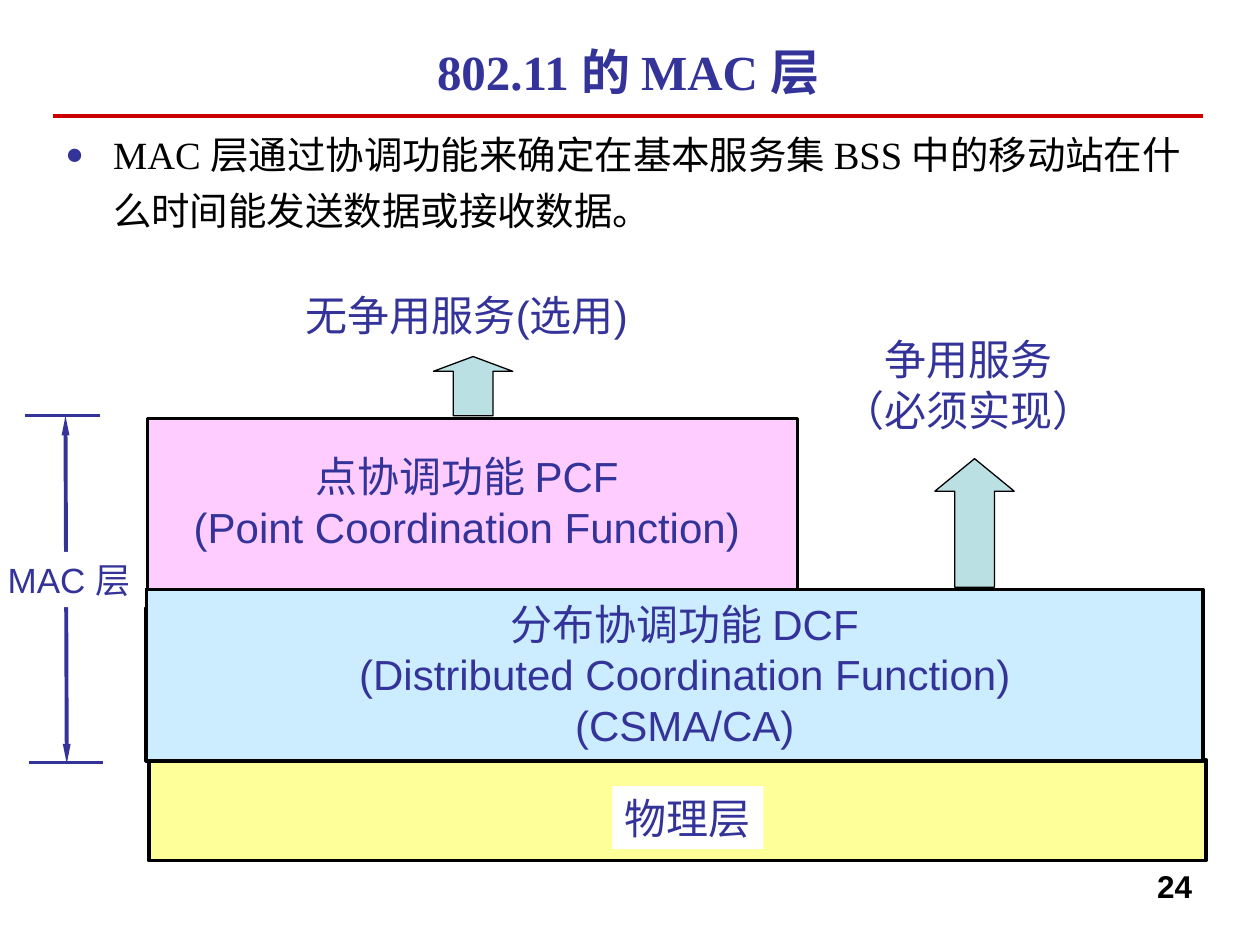
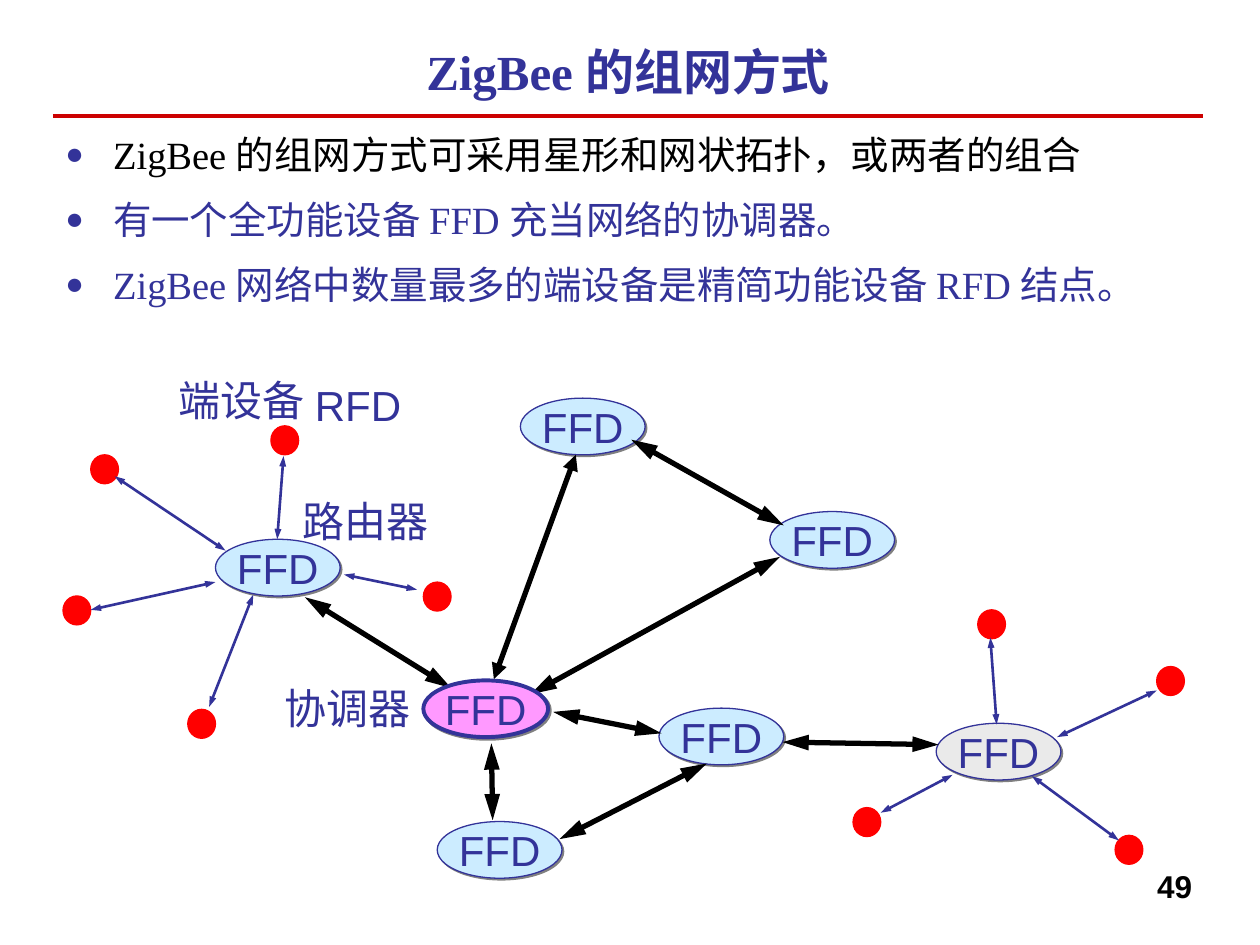
from dataclasses import dataclass

from lxml.etree import SubElement
from pptx import Presentation
from pptx.dml.color import RGBColor
from pptx.enum.shapes import MSO_CONNECTOR, MSO_SHAPE
from pptx.enum.text import MSO_ANCHOR, MSO_AUTO_SIZE, PP_ALIGN
from pptx.oxml.ns import qn
from pptx.util import Inches, Pt

INDIGO = RGBColor(0x33, 0x33, 0x99)
BLACK = RGBColor(0, 0, 0)
WHITE = RGBColor(0xFF, 0xFF, 0xFF)
RULE_RED = RGBColor(0xCC, 0, 0)
DEVICE_RED = RGBColor(0xFF, 0, 0)
SKY = RGBColor(0xCC, 0xEC, 0xFF)
YELLOW = RGBColor(0xFF, 0xFF, 0x99)
PINK = RGBColor(0xFF, 0xCC, 0xFF)
MAGENTA = RGBColor(0xFF, 0x99, 0xFF)
GREY = RGBColor(0xEA, 0xEA, 0xEA)
TEAL = RGBColor(0xBB, 0xE0, 0xE3)
SANS, SERIF = "Arial", "Times New Roman"
LEFT, CENTER, RIGHT = PP_ALIGN.LEFT, PP_ALIGN.CENTER, PP_ALIGN.RIGHT
NODE_SIZE = (0.99, 0.45)
DEVICE_SIZE = (0.22, 0.23)


@dataclass(frozen=True)
class Box:
    """A rectangle on the slide, in inches."""
    left: float
    top: float
    width: float
    height: float

    def lengths(self) -> list:
        """Return the four lengths for python-pptx."""
        return [Inches(value) for value in (self.left, self.top, self.width, self.height)]


@dataclass(frozen=True)
class Style:
    """The look of a text."""
    size: float = 24
    font: str = SANS
    color: RGBColor = INDIGO
    bold: bool = False
    align: PP_ALIGN = LEFT


@dataclass(frozen=True)
class Label:
    """A free caption of one or more lines."""
    box: Box
    lines: tuple
    style: Style = Style()
    wrap: bool = False
    fill: RGBColor | None = None
    side_inset: float = 0.1


@dataclass(frozen=True)
class Block:
    """A filled, outlined preset shape."""
    box: Box
    fill: RGBColor
    line: RGBColor = BLACK
    weight: float = 2
    preset: MSO_SHAPE = MSO_SHAPE.RECTANGLE
    adjustments: tuple = ()


@dataclass(frozen=True)
class Link:
    """A straight line, with arrowheads if head sizes are given."""
    start: tuple
    end: tuple
    color: RGBColor = INDIGO
    weight: float = 1.5
    head_width: str = ""
    head_length: str = "med"


@dataclass(frozen=True)
class Node:
    """A full-function device in the network."""
    left: float
    top: float
    fill: RGBColor = SKY
    weight: float = 0.75


CENTERED = Style(align=CENTER)
TITLE = Style(28, SERIF, bold=True, align=CENTER)
PAGE_NUMBER = Style(18, color=BLACK, bold=True, align=RIGHT)


def style_paragraph(paragraph, style: Style) -> None:
    """Apply a style to a whole paragraph."""
    paragraph.alignment = style.align
    font = paragraph.font
    font.size, font.name, font.bold = Pt(style.size), style.font, style.bold
    font.color.rgb = style.color


def draw_label(slide, label: Label):
    """Draw a caption and return its text frame."""
    caption = slide.shapes.add_textbox(*label.box.lengths())
    if label.fill is not None:
        caption.fill.solid()
        caption.fill.fore_color.rgb = label.fill
    frame = caption.text_frame
    frame.word_wrap = label.wrap
    frame.auto_size = MSO_AUTO_SIZE.NONE if label.wrap else MSO_AUTO_SIZE.SHAPE_TO_FIT_TEXT
    frame.margin_left = frame.margin_right = Inches(label.side_inset)
    frame.text = "\n".join(label.lines)
    for paragraph in frame.paragraphs:
        style_paragraph(paragraph, label.style)
    return frame


def draw_block(slide, block: Block):
    """Draw a preset shape and return it."""
    shape = slide.shapes.add_shape(block.preset, *block.box.lengths())
    shape.shadow.inherit = False
    shape.fill.solid()
    shape.fill.fore_color.rgb = block.fill
    shape.line.color.rgb = block.line
    shape.line.width = Pt(block.weight)
    for index, value in enumerate(block.adjustments):
        shape.adjustments[index] = value
    return shape


def draw_link(slide, link: Link) -> None:
    """Draw a line with its optional arrowheads."""
    ends = [Inches(value) for value in (*link.start, *link.end)]
    connector = slide.shapes.add_connector(MSO_CONNECTOR.STRAIGHT, *ends)
    connector.line.color.rgb = link.color
    connector.line.width = Pt(link.weight)
    properties = connector._element.spPr
    if link.head_width:
        outline = properties.find(qn("a:ln"))
        for tag in ("a:headEnd", "a:tailEnd"):
            SubElement(outline, qn(tag), type="triangle", w=link.head_width, len=link.head_length)
    SubElement(properties, qn("a:effectLst"))


def draw_node(slide, node: Node) -> None:
    """Draw a device ellipse with its name and hard shadow."""
    ellipse = draw_block(slide, Block(Box(node.left, node.top, *NODE_SIZE), node.fill,
                                      INDIGO, node.weight, MSO_SHAPE.OVAL))
    effects = ellipse._element.spPr.find(qn("a:effectLst"))
    shadow = SubElement(effects, qn("a:outerShdw"), dist=str(Pt(1.4)), dir="2700000",
                        algn="ctr", rotWithShape="0")
    SubElement(shadow, qn("a:srgbClr"), val="808080")
    frame = ellipse.text_frame
    frame.word_wrap = False
    frame.vertical_anchor = MSO_ANCHOR.MIDDLE
    frame.text = "FFD"
    style_paragraph(frame.paragraphs[0], CENTERED)


def draw_bullets(slide, bullets: list[tuple[str, RGBColor]]) -> None:
    """Draw the bulleted statements under the title."""
    frame = draw_label(slide, Label(Box(0.42, 0.92, 9.13, 5.92),
                                    tuple(text for text, _ in bullets), wrap=True))
    for index, (paragraph, (_, color)) in enumerate(zip(frame.paragraphs, bullets)):
        paragraph.line_spacing = 1.2
        paragraph.space_before = Pt(5.5 if index else 0)
        properties = paragraph._p.get_or_add_pPr()
        properties.set("marL", str(Inches(0.38)))
        properties.set("indent", str(-Inches(0.38)))
        font_defaults = properties.find(qn("a:defRPr"))
        properties.remove(font_defaults)
        SubElement(SubElement(properties, qn("a:buClr")), qn("a:srgbClr"), val=str(INDIGO))
        SubElement(properties, qn("a:buSzPct"), val="80000")
        SubElement(properties, qn("a:buFont"), typeface=SERIF)
        SubElement(properties, qn("a:buChar"), char="●")
        style_paragraph(paragraph, Style(22, SERIF, color))


def start_slide(deck, title: str, number: int, bullets: list[tuple[str, RGBColor]]):
    """Add a slide with rule, title, bullets and page number."""
    slide = deck.slides.add_slide(deck.slide_layouts[6])
    draw_link(slide, Link((0.42, 0.92), (9.55, 0.92), RULE_RED, 2))
    heading = draw_label(slide, Label(Box(0.42, 0.25, 9.13, 0.67), (title,), TITLE, wrap=True))
    heading.margin_top = 0
    heading.vertical_anchor = MSO_ANCHOR.MIDDLE
    draw_bullets(slide, bullets)
    draw_label(slide, Label(Box(7.23, 6.83, 2.33, 0.52), (str(number),), PAGE_NUMBER, wrap=True))
    return slide


def build_mac_slide(deck) -> None:
    """Build the layer diagram of the 802.11 MAC."""
    slide = start_slide(deck, "802.11 的 MAC 层", 24, [
        ("MAC 层通过协调功能来确定在基本服务集 BSS 中的移动站在什么时间能发送数据或接收数据。", BLACK),
    ])
    for link in (
        Link((0.52, 3.3), (0.53, 6.06), weight=2.25, head_width="sm", head_length="lg"),
        Link((0.2, 3.3), (0.79, 3.3)),
        Link((0.23, 6.05), (0.82, 6.05)),
    ):
        draw_link(slide, link)
    for block in (
        Block(Box(1.18, 6.03, 8.39, 0.8), YELLOW, weight=2.25),
        Block(Box(1.16, 4.68, 8.39, 1.36), SKY),
        Block(Box(1.17, 3.32, 5.16, 1.36), PINK),
        Block(Box(7.42, 3.64, 0.63, 1.02), TEAL, BLACK, 0.75, MSO_SHAPE.UP_ARROW, (0.5, 0.41)),
        Block(Box(3.44, 2.83, 0.63, 0.47), TEAL, BLACK, 0.75, MSO_SHAPE.UP_ARROW, (0.5, 0.25)),
    ):
        draw_block(slide, block)
    for label in (
        Label(Box(0.04, 4.38, 1.11, 0.44), ("MAC 层",), Style(20), fill=WHITE, side_inset=0.02),
        Label(Box(2.33, 2.25, 2.92, 0.9), ("无争用服务(选用)",), wrap=True),
        Label(Box(6.59, 2.6, 2.2, 0.9), ("争用服务", "（必须实现）"), CENTERED),
        Label(Box(1.4, 3.53, 4.61, 0.9),
              ("点协调功能 PCF", "(Point Coordination Function)"), CENTERED),
        Label(Box(2.71, 4.7, 5.45, 1.3),
              ("分布协调功能 DCF", "(Distributed Coordination Function)", "(CSMA/CA)"), CENTERED),
        Label(Box(4.86, 6.24, 1.2, 0.5), ("物理层",), fill=WHITE),
    ):
        draw_label(slide, label)


def build_zigbee_slide(deck) -> None:
    """Build the ZigBee topology diagram."""
    slide = start_slide(deck, "ZigBee 的组网方式", 49, [
        ("ZigBee 的组网方式可采用星形和网状拓扑，或两者的组合", BLACK),
        ("有一个全功能设备 FFD 充当网络的协调器。", INDIGO),
        ("ZigBee 网络中数量最多的端设备是精简功能设备 RFD 结点。", INDIGO),
    ])
    for left, top in ((2.15, 3.38), (8.85, 6.63), (6.77, 6.41), (9.18, 5.29), (7.76, 4.84),
                      (0.72, 3.61), (0.5, 4.73), (1.49, 5.63), (3.36, 4.62)):
        draw_block(slide, Block(Box(left, top, *DEVICE_SIZE), DEVICE_RED, DEVICE_RED, 0.75,
                                MSO_SHAPE.OVAL))
    for router in (Node(1.71, 4.28), Node(3.47, 6.52), Node(6.11, 4.06), Node(4.13, 3.16),
                   Node(5.23, 5.62), Node(7.43, 5.74, GREY)):
        draw_node(slide, router)
    draw_link(slide, Link((4.57, 3.61), (3.92, 5.39), BLACK, 3, "med"))
    for start, end in (
        ((2.42, 4.74), (3.58, 5.46)), ((5.01, 3.49), (6.22, 4.17)),
        ((6.19, 4.42), (4.21, 5.51)), ((3.9, 5.9), (3.91, 6.51)),
        ((5.25, 5.82), (4.39, 5.65)), ((7.45, 5.91), (6.21, 5.89)),
        ((5.61, 6.06), (4.44, 6.66)),
    ):
        draw_link(slide, Link(start, end, BLACK, 3, "med", "lg"))
    for start, end in (
        ((0.91, 3.78), (1.79, 4.37)), ((2.73, 4.56), (3.31, 4.68)),
        ((2.25, 3.62), (2.2, 4.28)), ((0.72, 4.84), (1.71, 4.62)),
        ((9.18, 5.48), (8.39, 5.85)), ((7.86, 5.06), (7.91, 5.75)),
        ((2.01, 4.72), (1.66, 5.61)), ((8.19, 6.16), (8.88, 6.67)),
        ((7.56, 6.15), (6.99, 6.45)),
    ):
        draw_link(slide, Link(start, end, head_width="sm"))
    draw_node(slide, Node(3.36, 5.4, MAGENTA, 2.25))
    for text, left, top, width in (("RFD", 2.4, 2.96, 0.95), ("端设备", 1.32, 2.92, 1.2),
                                   ("路由器", 2.3, 3.88, 1.2), ("协调器", 2.16, 5.37, 1.2)):
        draw_label(slide, Label(Box(left, top, width, 0.5), (text,)))


def main() -> None:
    """Build and save the deck."""
    deck = Presentation()
    deck.slide_width, deck.slide_height = Inches(10), Inches(7.5)
    build_mac_slide(deck)
    build_zigbee_slide(deck)
    deck.save("out.pptx")


if __name__ == "__main__":
    main()
